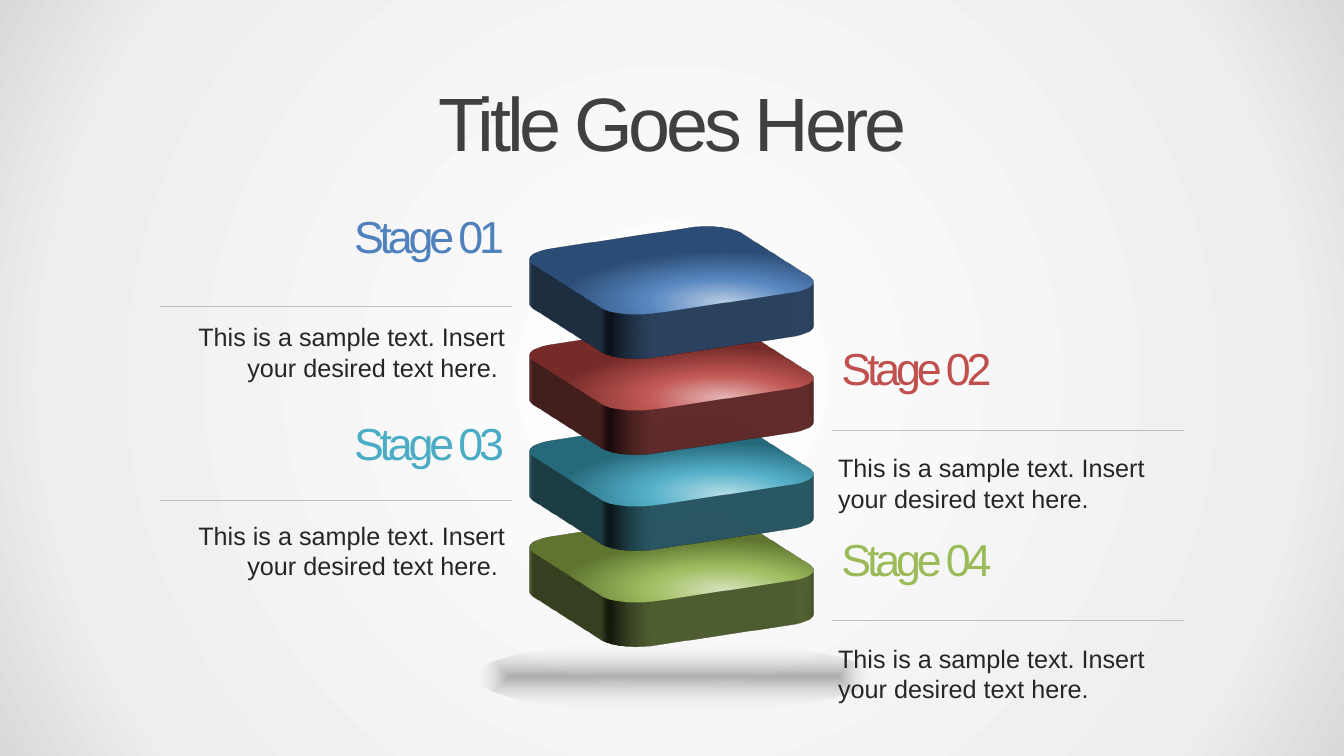
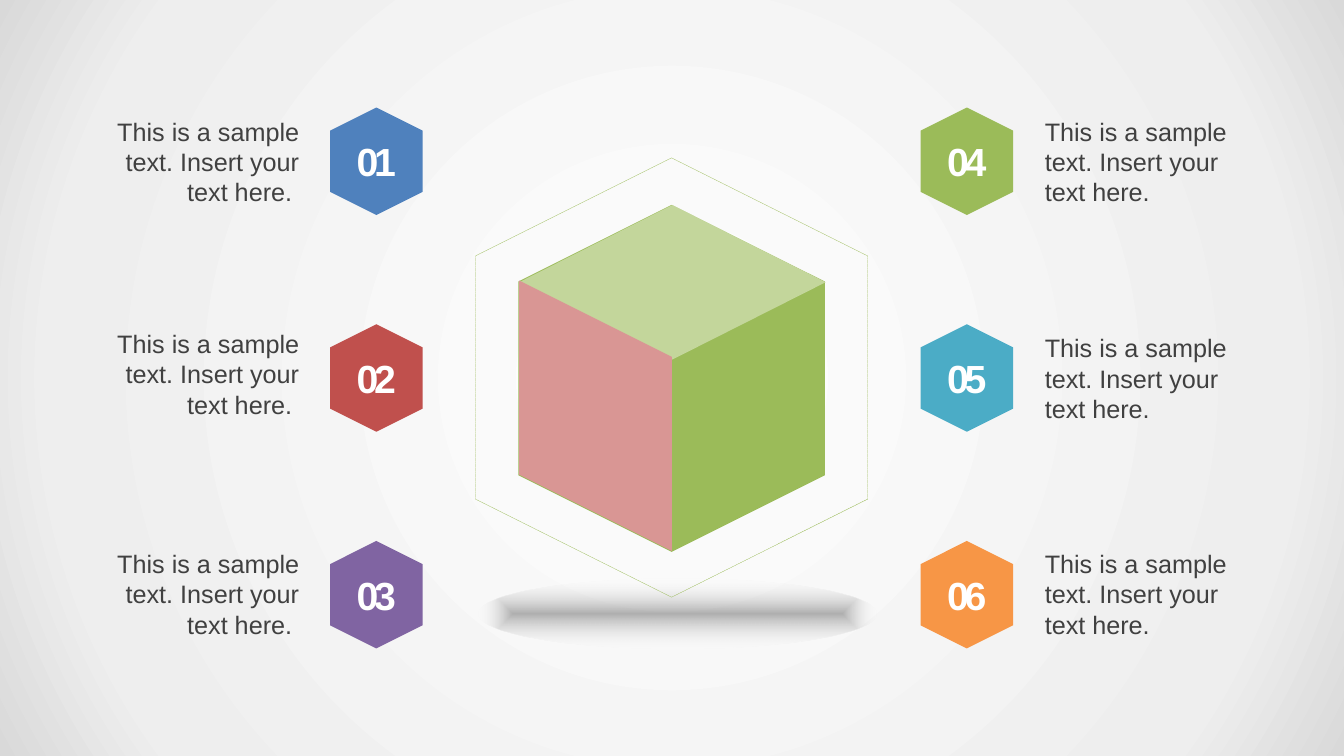
from dataclasses import dataclass

from pptx import Presentation
from pptx.dml.color import RGBColor
from pptx.enum.dml import MSO_LINE
from pptx.enum.shapes import MSO_CONNECTOR, MSO_SHAPE as Shape
from pptx.enum.text import MSO_ANCHOR as Anchor, MSO_AUTO_SIZE as AutoSize, PP_ALIGN as Align
from pptx.oxml import parse_xml
from pptx.oxml.ns import nsdecls, qn
from pptx.util import Inches, Pt


@dataclass(frozen=True)
class Style:
    size: int
    color: str
    spacing: int = 0
    bold: bool = False


class Theme:
    font = "Arial"
    blue, red, teal, green = "4F81BD", "C0504D", "4BACC6", "9BBB59"
    purple, orange = "8064A2", "F79646"
    pale_green, pale_red = "C3D69B", "D99694"
    rule = "BFBFBF"
    title = Style(54, "404040", -300)
    stage_size = 32
    stage_body = Style(18, "262626")
    label = Style(28, "FFFFFF", -300, True)
    label_body = Style(18, "404040")
    # Gradient stops: position %, colour, opacity %
    backdrop = ((0, "FFFFFF", 100), (81, "EEEEEE", 100), (100, "D9D9D9", 100))
    shadow = ((0, "0D0D0D", 31), (100, "FFFFFF", 0))
    slabs = (
        ("D7E4BD", "A0BE61", "5F7530"),
        ("B7DEE8", "54B0C9", "276A7C"),
        ("E6B9B8", "C35956", "772C2A"),
        ("B9CDE5", "5887C0", "2C4D75"),
    )


# Grid of 160 columns by 90 rows with square cells
COLUMNS, ROWS = 160, 90
CELL = Inches(7.5) / ROWS


def shade(owner, fill, stops, form="circle", focus=(50, 50, 50, 50)):
    """Give the owner a gradient that spreads from the focus rectangle."""
    fill.gradient()
    gradient = owner.element.find(".//" + qn("a:gradFill"))
    for child in list(gradient):
        gradient.remove(child)
    marks = "".join(
        f'<a:gs pos="{place * 1000}"><a:srgbClr val="{color}">'
        f'<a:alpha val="{opacity * 1000}"/></a:srgbClr></a:gs>'
        for place, color, opacity in stops
    )
    left, top, right, bottom = (share * 1000 for share in focus)
    gradient.append(parse_xml(f'<a:gsLst {nsdecls("a")}>{marks}</a:gsLst>'))
    gradient.append(parse_xml(
        f'<a:path {nsdecls("a")} path="{form}"><a:fillToRect l="{left}" t="{top}" '
        f'r="{right}" b="{bottom}"/></a:path>'
    ))


def draw(page, kind, cells, fill=None, turn=0, text="", style=None,
         align=Align.LEFT, anchor=Anchor.MIDDLE):
    """Add a shape, or a text box when kind is None, placed in grid cells."""
    frame = [round(cell * CELL) for cell in cells]
    if kind is None:
        box = page.shapes.add_textbox(*frame)
    else:
        box = page.shapes.add_shape(kind, *frame)
        box.shadow.inherit = False
        box.line.fill.background()
        box.rotation = turn
        if fill:
            box.fill.solid()
            box.fill.fore_color.rgb = RGBColor.from_string(fill)
        else:
            box.fill.background()
    if text:
        box.text_frame.word_wrap = True
        box.text_frame.vertical_anchor = anchor
        if anchor == Anchor.TOP:
            box.text_frame.auto_size = AutoSize.SHAPE_TO_FIT_TEXT
        para = box.text_frame.paragraphs[0]
        para.text = text
        para.alignment = align
        para.font.name = Theme.font
        para.font.size = Pt(style.size)
        para.font.bold = style.bold
        para.font.color.rgb = RGBColor.from_string(style.color)
        box.element.find(".//" + qn("a:defRPr")).set("spc", str(style.spacing))
    return box


deck = Presentation()
deck.slide_width = round(COLUMNS * CELL)
deck.slide_height = round(ROWS * CELL)

# Shared backdrop
shade(deck.slide_master, deck.slide_master.background.fill, Theme.backdrop)

# Both pages start with a soft shadow on the floor
pages = []
for left, top in ((56.5, 76.4), (57, 68.9)):
    page = deck.slides.add_slide(deck.slide_layouts[6])
    floor = draw(page, Shape.OVAL, (left, top, 47.4, 8.3))
    shade(floor, floor.fill, Theme.shadow, "shape")
    pages.append(page)
stack_page, cube_page = pages

# Stack of slabs, from the lowest to the highest
SLAB, SLAB_STEP, LOWEST = 27.6, 11.43, 52.7
for level, colors in enumerate(Theme.slabs):
    slab = draw(stack_page, Shape.ROUNDED_RECTANGLE,
                ((COLUMNS - SLAB) / 2, LOWEST - level * SLAB_STEP, SLAB, SLAB))
    stops = [(place, color, 100) for place, color in zip((0, 46, 100), colors)]
    shade(slab, slab.fill, stops, focus=(50, 130, 50, -30))
    properties = slab.element.spPr
    properties.append(parse_xml(
        f'<a:scene3d {nsdecls("a")}><a:camera prst="isometricOffAxis1Top"/>'
        '<a:lightRig rig="threePt" dir="t"/></a:scene3d>'
    ))
    properties.append(parse_xml(f'<a:sp3d {nsdecls("a")} extrusionH="{Pt(33)}"/>'))

# Stages: name, colour, side, then rows of heading, rule and body
SAMPLE = "This is a sample text. Insert your desired text here."
stages = (
    ("Stage 01", Theme.blue, "left", 22.7, 36.5, 37.7),
    ("Stage 02", Theme.red, "right", 38.4, 51.2, 53.3),
    ("Stage 03", Theme.teal, "left", 47.3, 59.6, 61.3),
    ("Stage 04", Theme.green, "right", 61.1, 73.9, 76),
)
for name, color, side, heading_row, rule_row, body_row in stages:
    on_left = side == "left"
    column, body_column = (19, 19.7) if on_left else (99, 98.6)
    align = Align.RIGHT if on_left else Align.LEFT
    ends = (column, rule_row, column + 42, rule_row)
    rule = stack_page.shapes.add_connector(
        MSO_CONNECTOR.STRAIGHT, *(round(cell * CELL) for cell in ends))
    rule.line.color.rgb = RGBColor.from_string(Theme.rule)
    rule.line.width = Pt(0.75)
    rule.element.spPr.append(parse_xml(f'<a:effectLst {nsdecls("a")}/>'))
    draw(stack_page, None, (column, heading_row, 42.2, 10.8), text=name,
         style=Style(Theme.stage_size, color, -300), align=align)
    draw(stack_page, None, (body_column, body_row, 41.6, 8.5),
         text=SAMPLE + " " if on_left else SAMPLE,
         style=Theme.stage_body, align=align, anchor=Anchor.TOP)

# Title
draw(stack_page, None, (47.3, 9, 65.5, 10.8), text="Title Goes Here",
     style=Theme.title, align=Align.CENTER)

# Cube inside a dashed hexagon
ring = draw(cube_page, Shape.HEXAGON, (53.8, 21.6, 52.3, 46.7), turn=90)
ring.line.color.rgb = RGBColor.from_string(Theme.green)
ring.line.width = Pt(0.25)
ring.line.dash_style = MSO_LINE.SQUARE_DOT
draw(cube_page, Shape.HEXAGON, (59.3, 26.8, 41.3, 36.5), Theme.green, turn=90)
draw(cube_page, Shape.DIAMOND, (61.8, 24.4, 36.5, 18.4), Theme.pale_green)
left_face = draw(cube_page, Shape.PARALLELOGRAM, (54.8, 40.4, 32.2, 18.2),
                 Theme.pale_red, turn=90)
left_face.adjustments[0] = 0.5

# Numbered hexagons with text: hexagon column, text column, text rows, colours
NOTE = "This is a sample text. Insert your text here."
sides = (
    (38.4, 8.8, (13.2, 38.5, 64.7), Align.RIGHT, NOTE + " ",
     (Theme.blue, Theme.red, Theme.purple)),
    (108.7, 123.2, (13.2, 39, 64.7), Align.LEFT, NOTE,
     (Theme.green, Theme.teal, Theme.orange)),
)
number = 0
for hexagon_column, note_column, note_rows, align, note, colors in sides:
    for row, (note_row, color) in enumerate(zip(note_rows, colors)):
        number += 1
        badge = draw(cube_page, Shape.HEXAGON,
                     (hexagon_column, 13.7 + row * 25.8, 12.8, 11), color, turn=90,
                     text=f"{number:02d}", style=Theme.label, align=Align.CENTER)
        badge.element.find(".//" + qn("a:bodyPr")).set("vert", "vert270")
        draw(cube_page, None, (note_column, note_row, 28, 12.1), text=note,
             style=Theme.label_body, align=align, anchor=Anchor.TOP)

deck.save("out.pptx")
